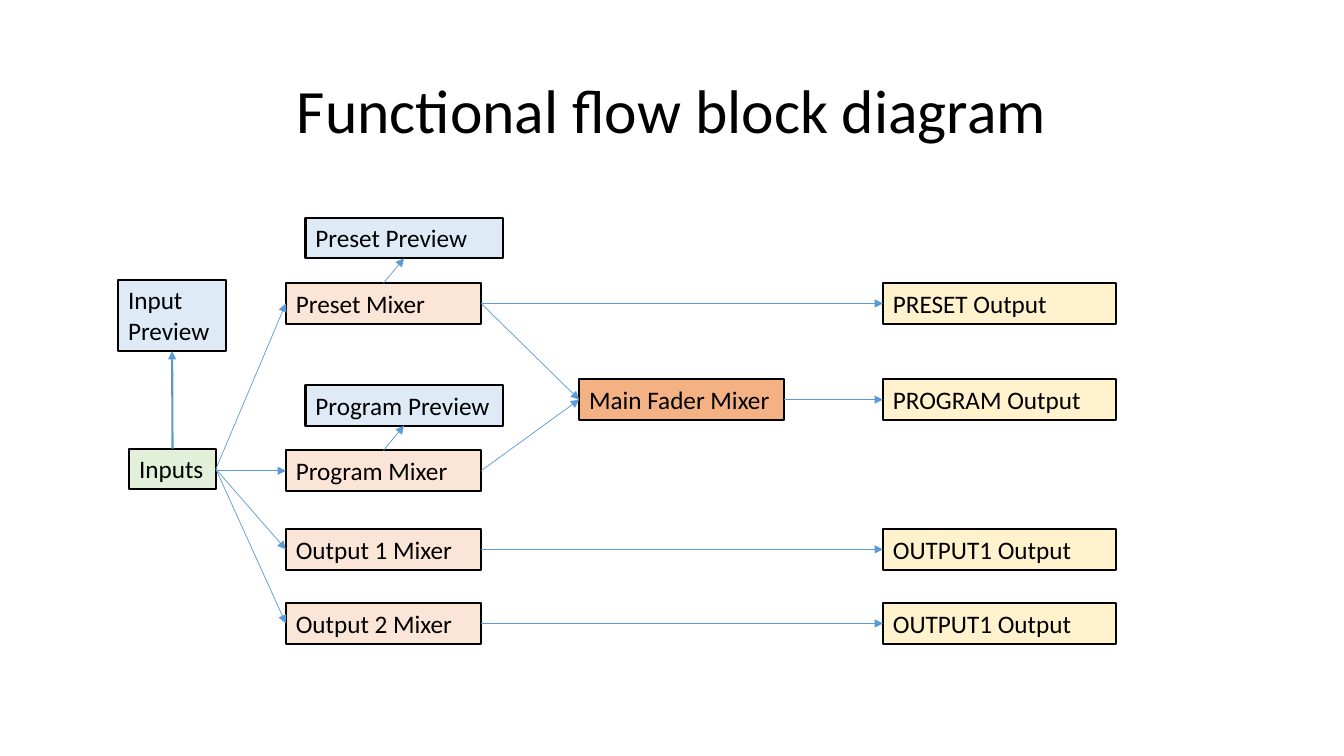
import enum
from dataclasses import dataclass

import pptx
import pptx.dml.color
import pptx.enum.shapes
import pptx.enum.text
import pptx.oxml
import pptx.oxml.ns
import pptx.shapes.autoshape
import pptx.slide
import pptx.text.text
import pptx.util

Align = pptx.enum.text.PP_ALIGN
Anchor = pptx.enum.text.MSO_ANCHOR
AutoSize = pptx.enum.text.MSO_AUTO_SIZE


@dataclass(frozen=True)
class Theme:
    font: str = "Calibri"
    title_size: float = 44
    label_size: float = 18
    text: str = "000000"
    border: str = "000000"
    arrow: str = "5B9BD5"
    inputs: str = "E2F0D9"
    mixer: str = "FBE5D6"
    fader: str = "F4B183"
    output: str = "FFF2CC"
    preview: str = "DEEBF7"
    heavy_line: float = 1.5
    fine_line: float = 0.5


THEME = Theme()


class Side(enum.IntEnum):
    """Connection sites of a rectangle."""
    TOP = 0
    LEFT = 1
    BOTTOM = 2
    RIGHT = 3


@dataclass(frozen=True)
class Block:
    key: str
    label: str
    left: float
    top: float
    width: float
    fill: str
    height: float = 29.1


@dataclass(frozen=True)
class Flow:
    """A level flow starts at the height of its target's centre."""
    source: str
    target: str
    leaves: Side = Side.RIGHT
    enters: Side = Side.LEFT
    weight: float = THEME.fine_line
    level: bool = False


PRESET_ROW, FADER_ROW, PROGRAM_ROW, OUTPUT_1_ROW, OUTPUT_2_ROW = 202.2, 270.9, 321.7, 377.9, 430.8
PREVIEW_RISE = 46.8


def mixer(key: str, label: str, top: float) -> Block:
    return Block(key, label, 204.2, top, 139.5, THEME.mixer)


def output(key: str, label: str, top: float) -> Block:
    return Block(key, label, 630.7, top, 166.5, THEME.output)


def preview(key: str, label: str, mixer_top: float) -> Block:
    return Block(key, label, 218.2, mixer_top - PREVIEW_RISE, 140.8, THEME.preview)


BLOCKS = [
    Block("inputs", "Inputs", 92.3, 320.5, 61.9, THEME.inputs),
    mixer("preset mixer", "Preset Mixer", PRESET_ROW),
    mixer("program mixer", "Program Mixer", PROGRAM_ROW),
    mixer("mixer 1", "Output 1 Mixer", OUTPUT_1_ROW),
    mixer("mixer 2", "Output 2 Mixer", OUTPUT_2_ROW),
    Block("fader", "Main Fader Mixer", 413.7, FADER_ROW, 146.5, THEME.fader),
    output("preset output", "PRESET Output", PRESET_ROW),
    output("program output", "PROGRAM Output", FADER_ROW),
    output("output 1", "OUTPUT1 Output", OUTPUT_1_ROW),
    output("output 2", "OUTPUT1 Output", OUTPUT_2_ROW),
    Block("input preview", "Input Preview", 84.4, 199.9, 77.1, THEME.preview, 50.9),
    preview("preset preview", "Preset Preview", PRESET_ROW),
    preview("program preview", "Program Preview", PROGRAM_ROW),
]

FLOWS = [
    Flow("inputs", "input preview", Side.TOP, Side.BOTTOM, THEME.heavy_line),
    Flow("inputs", "preset mixer"),
    Flow("inputs", "program mixer", level=True),
    Flow("inputs", "mixer 1"),
    Flow("inputs", "mixer 2"),
    Flow("preset mixer", "preset preview", Side.TOP, Side.BOTTOM),
    Flow("preset mixer", "preset output"),
    Flow("program mixer", "fader"),
    Flow("preset mixer", "fader"),
    Flow("program mixer", "program preview", Side.TOP, Side.BOTTOM),
    Flow("fader", "program output"),
    Flow("mixer 1", "output 1"),
    Flow("mixer 2", "output 2"),
]


def color(value: str) -> pptx.dml.color.RGBColor:
    return pptx.dml.color.RGBColor.from_string(value)


def write_text(frame: pptx.text.text.TextFrame, text: str, *, size: float,
               align: Align = Align.LEFT, anchor: Anchor = Anchor.TOP,
               auto_size: AutoSize = AutoSize.NONE, line_spacing: float = 1.0) -> None:
    frame.word_wrap = True
    frame.auto_size = auto_size
    frame.vertical_anchor = anchor
    paragraph = frame.paragraphs[0]
    paragraph.alignment = align
    paragraph.line_spacing = line_spacing
    run = paragraph.add_run()
    run.text = text
    run.font.name = THEME.font
    run.font.size = pptx.util.Pt(size)
    run.font.color.rgb = color(THEME.text)


def draw_title(slide: pptx.slide.Slide, text: str) -> None:
    bounds = [pptx.util.Pt(length) for length in (66, 28.75, 828, 104.4)]
    write_text(slide.shapes.add_textbox(*bounds).text_frame, text, size=THEME.title_size,
               align=Align.CENTER, anchor=Anchor.MIDDLE, line_spacing=0.9)


def draw_block(slide: pptx.slide.Slide, block: Block) -> pptx.shapes.autoshape.Shape:
    bounds = [pptx.util.Pt(length) for length in (block.left, block.top, block.width, block.height)]
    shape = slide.shapes.add_shape(pptx.enum.shapes.MSO_SHAPE.RECTANGLE, *bounds)
    shape.shadow.inherit = False
    shape.fill.solid()
    shape.fill.fore_color.rgb = color(block.fill)
    shape.line.color.rgb = color(THEME.border)
    shape.line.width = pptx.util.Pt(THEME.heavy_line)
    write_text(shape.text_frame, block.label, size=THEME.label_size,
               auto_size=AutoSize.SHAPE_TO_FIT_TEXT)
    return shape


def draw_flow(slide: pptx.slide.Slide, flow: Flow,
              shapes: dict[str, pptx.shapes.autoshape.Shape]) -> None:
    """Draw an arrow between two blocks, glued wherever it meets a connection site."""
    source, target = shapes[flow.source], shapes[flow.target]
    start_x = source.left + source.width
    center_y = target.top + target.height // 2
    connector = slide.shapes.add_connector(
        pptx.enum.shapes.MSO_CONNECTOR.STRAIGHT, start_x, center_y, target.left, center_y)
    if not flow.level:
        connector.begin_connect(source, flow.leaves.value)
    connector.end_connect(target, flow.enters.value)
    connector.line.color.rgb = color(THEME.arrow)
    connector.line.width = pptx.util.Pt(flow.weight)
    arrowhead = pptx.oxml.parse_xml(
        f'<a:tailEnd {pptx.oxml.ns.nsdecls("a")} type="triangle"/>')
    connector.line._get_or_add_ln().append(arrowhead)
    no_shadow = pptx.oxml.parse_xml(f'<a:effectLst {pptx.oxml.ns.nsdecls("a")}/>')
    connector._element.spPr.append(no_shadow)


def main() -> None:
    presentation = pptx.Presentation()
    presentation.slide_width = pptx.util.Pt(960)
    presentation.slide_height = pptx.util.Pt(540)
    slide = presentation.slides.add_slide(presentation.slide_layouts[6])
    draw_title(slide, "Functional flow block diagram")
    shapes = {block.key: draw_block(slide, block) for block in BLOCKS}
    for flow in FLOWS:
        draw_flow(slide, flow, shapes)
    presentation.save("out.pptx")


if __name__ == "__main__":
    main()
